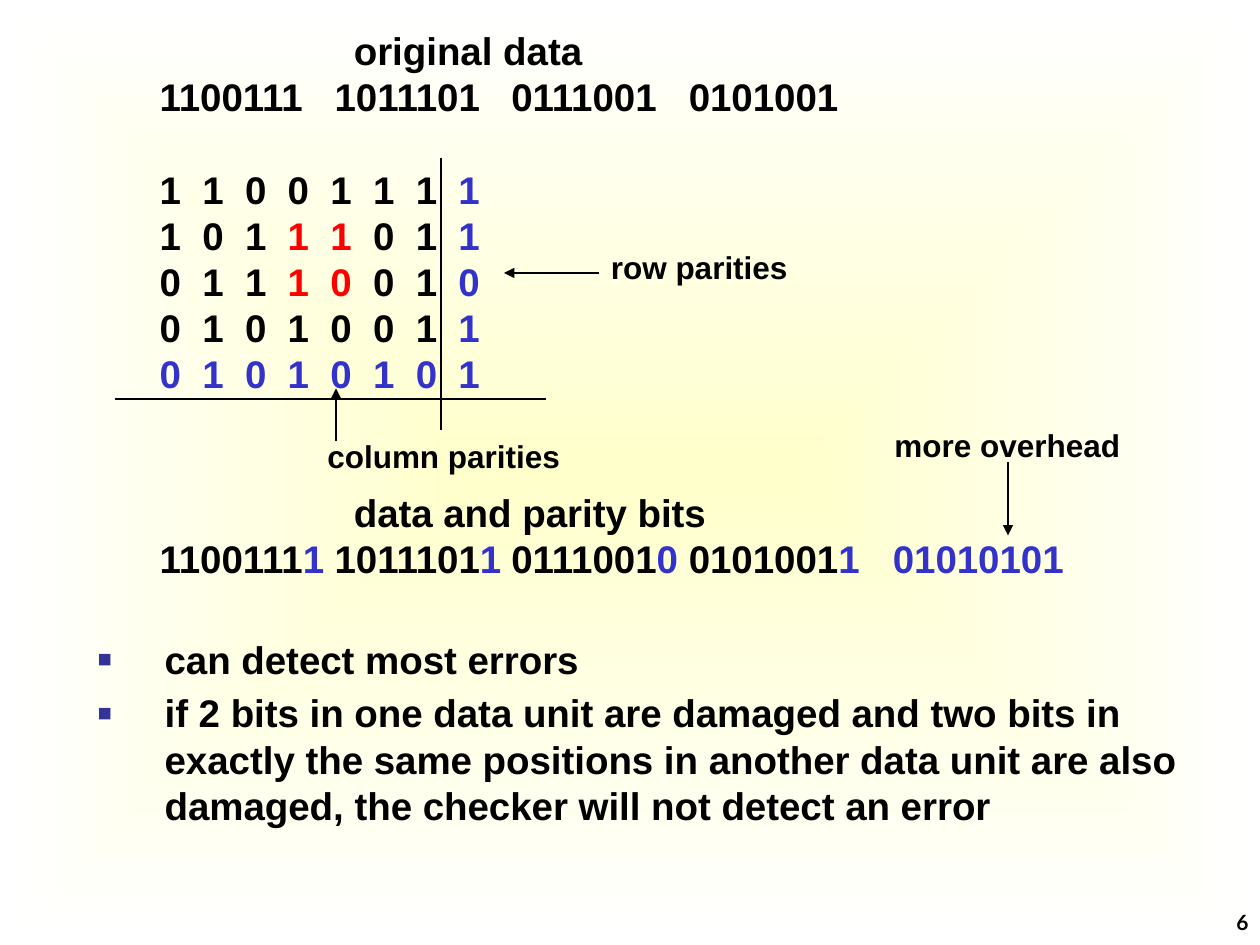
from itertools import groupby

from lxml import etree
from pptx import Presentation
from pptx.dml.color import RGBColor
from pptx.enum import shapes, text
from pptx.oxml import ns
from pptx.util import Pt

BLACK = RGBColor(0x00, 0x00, 0x00)
WHITE = RGBColor(0xFF, 0xFF, 0xFF)
CREAM = RGBColor(0xFF, 0xFF, 0xCC)
BLUE = RGBColor(0x33, 0x33, 0xCC)
RED = RGBColor(0xFF, 0x00, 0x00)
BULLET_BLUE = RGBColor(0x33, 0x33, 0x99)

LINE_HEIGHT = 26.4
BIT_STOPS = [24.4 * column for column in range(1, 8)]
WORD_STOPS = [100, 201, 302.4, 419]

DATA = ["1100111", "1011101", "0111001", "0101001"]
DAMAGED = {(1, 3), (1, 4), (2, 3), (2, 4)}  # (row, column)
POINTS = [
    "can detect most errors",
    "if 2 bits in one data unit are damaged and two bits in exactly the same "
    "positions in another data unit are also damaged, the checker will not "
    "detect an error",
]


def parity(bits):
    return str(bits.count("1") % 2)


def add_child(parent, tag, **attributes):
    return etree.SubElement(parent, ns.qn(tag), attributes)


def set_attributes(target, values):
    for name, value in values.items():
        setattr(target, name, value)


def add_run(paragraph, content, color=BLACK, size=22, name="Arial"):
    run = paragraph.add_run()
    run.text = content
    set_attributes(run.font, {"size": Pt(size), "name": name, "bold": True})
    run.font.color.rgb = color


def add_text_box(slide, left, top, width, height, **frame_format):
    shape = slide.shapes.add_textbox(Pt(left), Pt(top), Pt(width), Pt(height))
    set_attributes(shape.text_frame, {"word_wrap": True, **frame_format})
    return shape.text_frame


def next_paragraph(frame, space_before=0):
    """Return the unused first paragraph, or a new one below the others."""
    paragraph = frame.paragraphs[0]
    if paragraph.runs:
        paragraph = frame.add_paragraph()
    set_attributes(paragraph, {"line_spacing": Pt(LINE_HEIGHT),
                               "space_before": Pt(space_before)})
    return paragraph


def add_heading(frame, content, space_before=0):
    paragraph = next_paragraph(frame, space_before)
    paragraph._p.get_or_add_pPr().set("marL", str(Pt(111)))
    add_run(paragraph, content)


def add_tabbed_line(frame, cells, stops, space_before=0):
    """Write (text, color) pieces; a piece may begin with a tab."""
    paragraph = next_paragraph(frame, space_before)
    tabs = add_child(paragraph._p.get_or_add_pPr(), "a:tabLst")
    for stop in stops:
        add_child(tabs, "a:tab", pos=str(Pt(stop)), algn="l")
    for color, pieces in groupby(cells, key=lambda cell: cell[1]):
        add_run(paragraph, "".join(piece for piece, _ in pieces), color)


def bit_color(row, column):
    if row == len(DATA) or column == len(DATA[0]):
        return BLUE
    return RED if (row, column) in DAMAGED else BLACK


def add_parity_example(slide, left, top, width, height):
    frame = add_text_box(slide, left, top, width, height,
                         margin_left=0, margin_right=0)
    rows = [word + parity(word) for word in DATA]
    rows.append("".join(parity(column) for column in zip(*rows)))

    add_heading(frame, "original data")
    add_tabbed_line(frame, [("\t".join(DATA), BLACK)], WORD_STOPS)

    for row, bits in enumerate(rows):
        cells = [("\t" * (column > 0) + bit, bit_color(row, column))
                 for column, bit in enumerate(bits)]
        add_tabbed_line(frame, cells, BIT_STOPS, 0 if row else LINE_HEIGHT)

    add_heading(frame, "data and parity bits", 2 * LINE_HEIGHT)
    cells = []
    for index, bits in enumerate(rows[:-1]):
        cells += [("\t" * (index > 0) + bits[:-1], BLACK), (bits[-1], BLUE)]
    add_tabbed_line(frame, cells + [("\t" + rows[-1], BLUE)], WORD_STOPS)


def add_points(slide, left, top, width, height):
    body = slide.placeholders[1]
    set_attributes(body, {"left": Pt(left), "top": Pt(top),
                          "width": Pt(width), "height": Pt(height)})
    frame = body.text_frame
    frame.auto_size = text.MSO_AUTO_SIZE.NONE
    for index, point in enumerate(POINTS):
        paragraph = next_paragraph(frame, 4.4 if index else 0)
        properties = paragraph._p.get_or_add_pPr()
        properties.set("marL", str(Pt(74.9)))
        properties.set("indent", str(Pt(-38.9)))
        color = add_child(properties, "a:buClr")
        add_child(color, "a:srgbClr", val=str(BULLET_BLUE))
        add_child(properties, "a:buSzPct", val="120000")
        add_child(properties, "a:buFont", typeface="Arial")
        add_child(properties, "a:buChar", char="▪")
        add_run(paragraph, point)


def add_line(slide, start, end, arrow=False):
    """Draw a thin line; an arrow points at its start."""
    line = slide.shapes.add_connector(
        shapes.MSO_CONNECTOR.STRAIGHT, *map(Pt, start + end))
    line.line.color.rgb = BLACK
    line.line.width = Pt(0.75)
    if arrow:
        add_child(line.line._get_or_add_ln(), "a:headEnd", type="triangle")
    add_child(line._element.spPr, "a:effectLst")


def add_label(slide, content, left, top, width, height=24):
    frame = add_text_box(slide, left, top, width, height)
    add_run(frame.paragraphs[0], content, size=18)


def add_annotations(slide, left, top):
    """Rule off the parity bits and label them, from the crossing point."""
    add_line(slide, (left, top - 138), (left, top + 18))
    add_line(slide, (left - 186, top), (left + 60, top))
    add_label(slide, "row parities", left + 90, top - 90, 150)
    add_label(slide, "column parities", left - 72, top + 18, 186)
    add_line(slide, (left + 36, top - 72), (left + 90, top - 72), arrow=True)
    add_line(slide, (left - 60, top - 6), (left - 60, top + 24), arrow=True)
    add_label(slide, "more overhead", left + 252, top + 12, 150)
    add_line(slide, (left + 324, top + 78), (left + 324, top + 36), arrow=True)


def add_slide_number(slide, left, top, width, height):
    frame = add_text_box(
        slide, left, top, width, height, margin_left=0, margin_right=0,
        margin_top=0, margin_bottom=0, vertical_anchor=text.MSO_ANCHOR.BOTTOM)
    frame.paragraphs[0].alignment = text.PP_ALIGN.RIGHT
    add_run(frame.paragraphs[0], "6", size=12, name="Lato")


def set_background(slide):
    """Fade from cream in the middle to white at the edges."""
    fill = slide.background.fill
    fill.gradient()
    for stop, color in zip(fill.gradient_stops, (CREAM, WHITE)):
        stop.color.rgb = color
    linear = next(slide._element.iter(ns.qn("a:lin")))
    gradient = linear.getparent()
    gradient.remove(linear)
    shade = add_child(gradient, "a:path", path="shape")
    add_child(shade, "a:fillToRect", l="50000", t="50000", r="50000", b="50000")


def main():
    presentation = Presentation()
    presentation.slide_width, presentation.slide_height = Pt(720), Pt(540)
    slide = presentation.slides.add_slide(presentation.slide_layouts[1])
    title = slide.shapes.title._element
    title.getparent().remove(title)
    set_background(slide)
    add_parity_example(slide, 91.2, 12, 616.8, 330)
    add_points(slide, 12, 359.6, 696, 118)
    add_annotations(slide, 252, 228)
    add_slide_number(slide, 672, 522, 41.5, 12)
    presentation.save("out.pptx")


if __name__ == "__main__":
    main()
